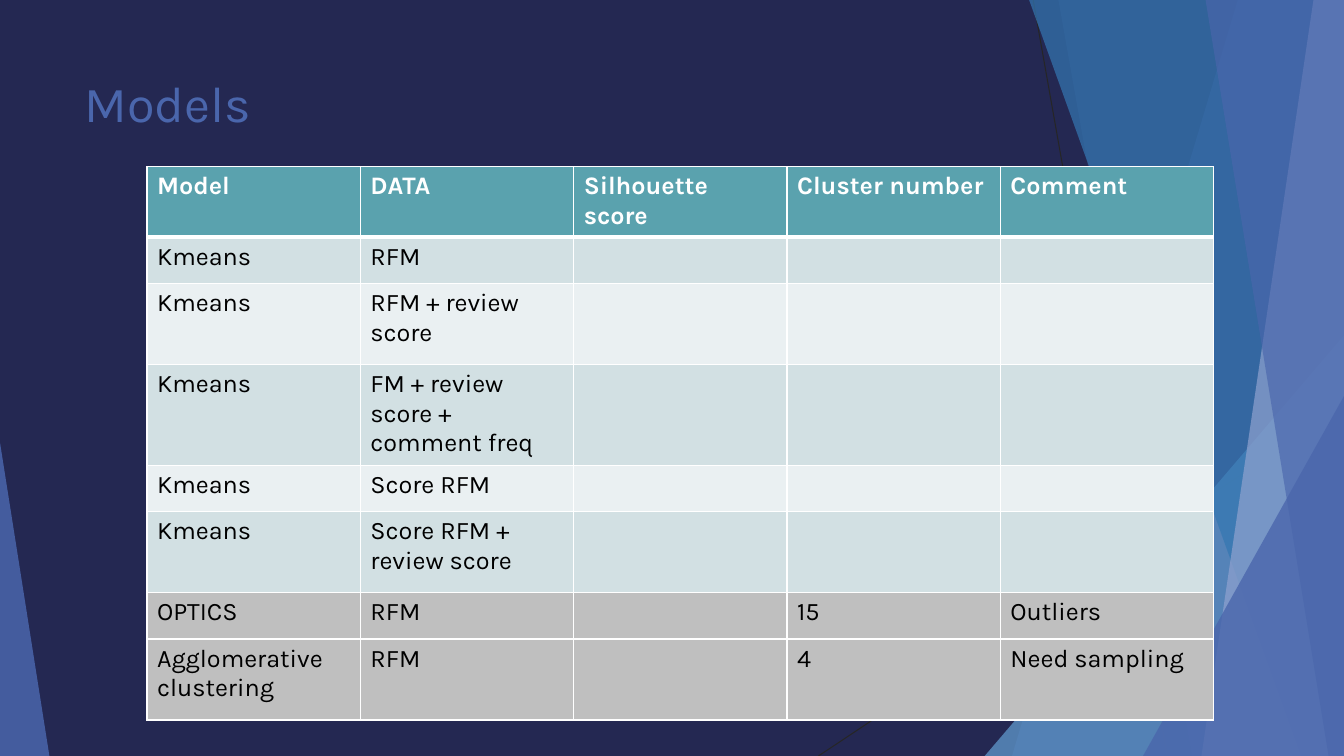
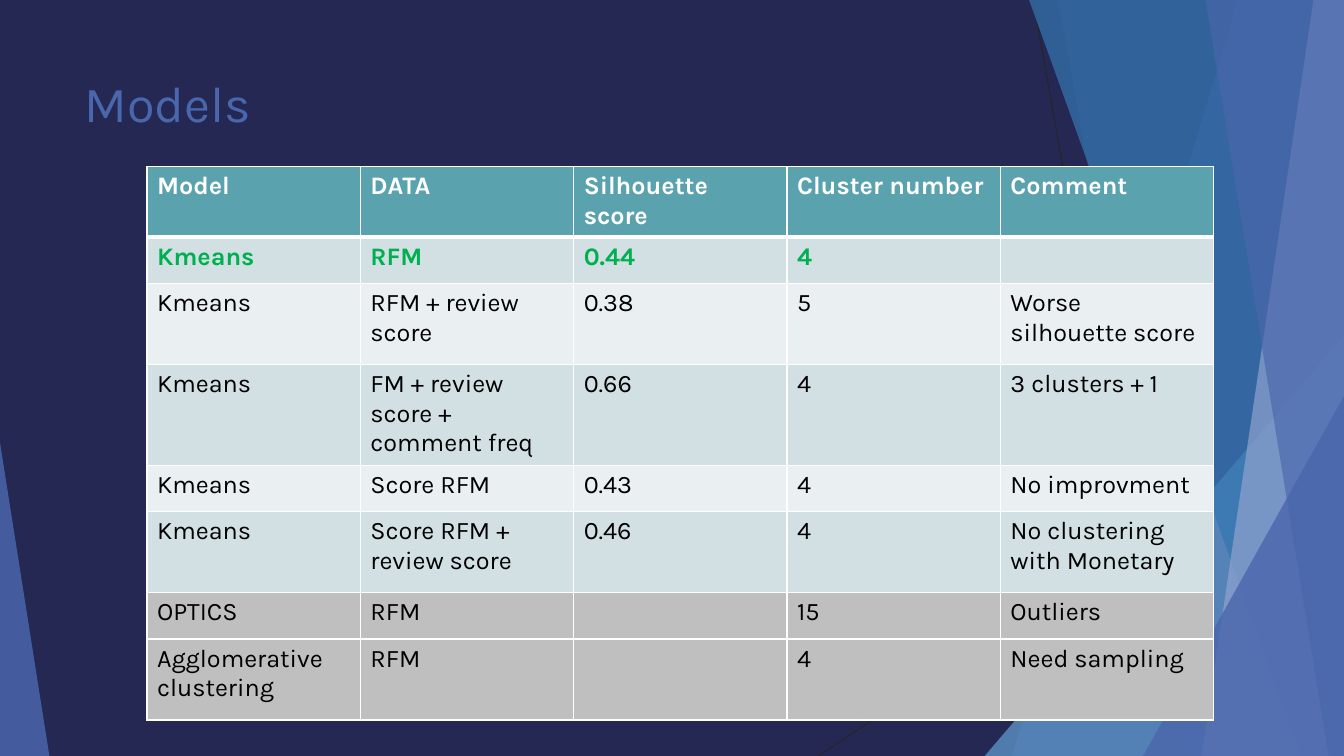
from pptx import Presentation
from pptx.dml.color import RGBColor
from pptx.enum.shapes import MSO_CONNECTOR, MSO_SHAPE
from pptx.oxml.ns import qn
from pptx.util import Pt
from lxml import etree

TRIANGLE = MSO_SHAPE.ISOSCELES_TRIANGLE
STRAIGHT = MSO_CONNECTOR.STRAIGHT

NAVY = RGBColor(0x24, 0x28, 0x52)
INDIGO = RGBColor(0x4A, 0x66, 0xAC)
SKY = RGBColor(0x62, 0x9D, 0xD1)
BLUE = RGBColor(0x34, 0x77, 0xB2)
LAVENDER = RGBColor(0x90, 0xA2, 0xCF)
CHARCOAL = RGBColor(0x26, 0x26, 0x26)
TEAL = RGBColor(0x5A, 0xA2, 0xAE)
BAND_DARK = RGBColor(0xD2, 0xE0, 0xE3)
BAND_LIGHT = RGBColor(0xEA, 0xF0, 0xF2)
GRAY = RGBColor(0xBF, 0xBF, 0xBF)
GREEN = RGBColor(0x00, 0xB0, 0x50)
BLACK = RGBColor(0x00, 0x00, 0x00)
WHITE = RGBColor(0xFF, 0xFF, 0xFF)

FONT = "Karla"
WIDTH, HEIGHT = 960, 540
COLUMN_WIDTH = 152.4
ROW_HEIGHTS = [49.3, 33.1, 57.9, 70.6, 33.1, 57.9, 33.1, 57.9]
ROW_FILLS = [TEAL, BAND_DARK, BAND_LIGHT, BAND_DARK, BAND_LIGHT, BAND_DARK, GRAY, GRAY]

HEADER = ("Model", "DATA", "Silhouette score", "Cluster number", "Comment")
MODELS = [
    ("Kmeans", "RFM"),
    ("Kmeans", "RFM + review score"),
    ("Kmeans", "FM + review score + comment freq"),
    ("Kmeans", "Score RFM"),
    ("Kmeans", "Score RFM + review score"),
    ("OPTICS", "RFM"),
    ("Agglomerative clustering", "RFM"),
]
REJECTED = [("", "15", "Outliers"), ("", "4", "Need sampling")]
PENDING = [("", "", "")] * 5
SCORED = [
    ("0.44", "4", ""),
    ("0.38", "5", "Worse silhouette score"),
    ("0.66", "4", "3 clusters + 1"),
    ("0.43", "4", "No improvment"),
    ("0.46", "4", "No clustering with Monetary"),
]


def style_span(span, size, color, bold=False):
    span.font.name = FONT
    span.font.size = Pt(size)
    span.font.color.rgb = color
    span.font.bold = bold


def paint(shape, color, opacity):
    shape.shadow.inherit = False
    shape.line.fill.background()
    shape.fill.solid()
    shape.fill.fore_color.rgb = color
    rgb = shape._element.spPr.find(qn("a:solidFill")).find(qn("a:srgbClr"))
    etree.SubElement(rgb, qn("a:alpha"), val=str(opacity * 1000))


def add_line(page, start, end):
    line = page.shapes.add_connector(STRAIGHT, *map(Pt, start + end))
    line.line.color.rgb = CHARCOAL
    line.line.width = Pt(0.75)
    etree.SubElement(line._element.spPr, qn("a:effectLst"))


def add_ribbon(page, top_left, bottom_left, color, opacity):
    outline = page.shapes.build_freeform(Pt(top_left), 0, scale=1.0)
    corners = [(WIDTH, 0), (WIDTH, HEIGHT), (bottom_left, HEIGHT)]
    outline.add_line_segments([(Pt(x), Pt(y)) for x, y in corners], close=True)
    paint(outline.convert_to_shape(), color, opacity)


def add_triangle(page, left, right, top, apex, color, opacity):
    shape = page.shapes.add_shape(
        TRIANGLE, Pt(left), Pt(top), Pt(right - left), Pt(HEIGHT - top))
    shape.adjustments[0] = apex
    paint(shape, color, opacity)


def add_backdrop(page):
    add_line(page, (738, 0), (833.8, HEIGHT))
    add_line(page, (WIDTH, 290.2), (584.6, HEIGHT))
    add_ribbon(page, 884.2, 722.9, INDIGO, 30)
    add_ribbon(page, 756, 851.8, INDIGO, 20)
    add_triangle(page, 703.4, WIDTH, 239.8, 1, SKY, 72)
    add_ribbon(page, 735.1, 929.5, BLUE, 70)
    add_ribbon(page, 938.2, 858.2, LAVENDER, 70)
    add_ribbon(page, 861.1, 949, INDIGO, 65)
    add_triangle(page, 816.5, WIDTH, 283, 1, INDIGO, 80)
    add_triangle(page, 0, 35.3, 316.1, 0, INDIGO, 85)


def add_title(page, text):
    box = page.shapes.add_textbox(Pt(53.3), Pt(48.2), Pt(676.8), Pt(103.7))
    box.text_frame.word_wrap = True
    box.text_frame.text = text
    style_span(box.text_frame.paragraphs[0].runs[0], 36, INDIGO)


def set_borders(cell, top, bottom):
    properties = cell._tc.get_or_add_tcPr()
    sides = [("a:lnL", 1), ("a:lnR", 1), ("a:lnT", top), ("a:lnB", bottom)]
    for index, (tag, width) in enumerate(sides):
        border = etree.Element(qn(tag), w=str(Pt(width)))
        fill = etree.SubElement(border, qn("a:solidFill"))
        etree.SubElement(fill, qn("a:srgbClr"), val=str(WHITE))
        properties.insert(index, border)


def fill_cell(cell, text, fill, color, bold):
    cell.fill.solid()
    cell.fill.fore_color.rgb = fill
    cell.text_frame.text = text
    for span in cell.text_frame.paragraphs[0].runs:
        style_span(span, 18, color, bold)


def add_model_table(page, results, best_row):
    rows = [HEADER] + [model + result for model, result in zip(MODELS, results)]
    frame = page.shapes.add_table(
        len(rows), len(HEADER), Pt(105), Pt(119),
        Pt(COLUMN_WIDTH * len(HEADER)), Pt(sum(ROW_HEIGHTS)))
    table = frame.table
    table.horz_banding = False
    for column in table.columns:
        column.width = Pt(COLUMN_WIDTH)
    for row, values in enumerate(rows):
        table.rows[row].height = Pt(ROW_HEIGHTS[row])
        color = WHITE if row == 0 else GREEN if row == best_row else BLACK
        for column, text in enumerate(values):
            cell = table.cell(row, column)
            fill_cell(cell, text, ROW_FILLS[row], color, color != BLACK)
            set_borders(cell, 3 if row == 1 else 1, 3 if row == 0 else 1)


def add_models_page(deck, results, best_row=None):
    page = deck.slides.add_slide(deck.slide_layouts[6])
    add_backdrop(page)
    add_title(page, "Models")
    add_model_table(page, results + REJECTED, best_row)


def main():
    deck = Presentation()
    deck.slide_width, deck.slide_height = Pt(WIDTH), Pt(HEIGHT)
    background = deck.slide_master.background.fill
    background.solid()
    background.fore_color.rgb = NAVY
    add_models_page(deck, PENDING)
    add_models_page(deck, SCORED, best_row=1)
    deck.save("out.pptx")


if __name__ == "__main__":
    main()
